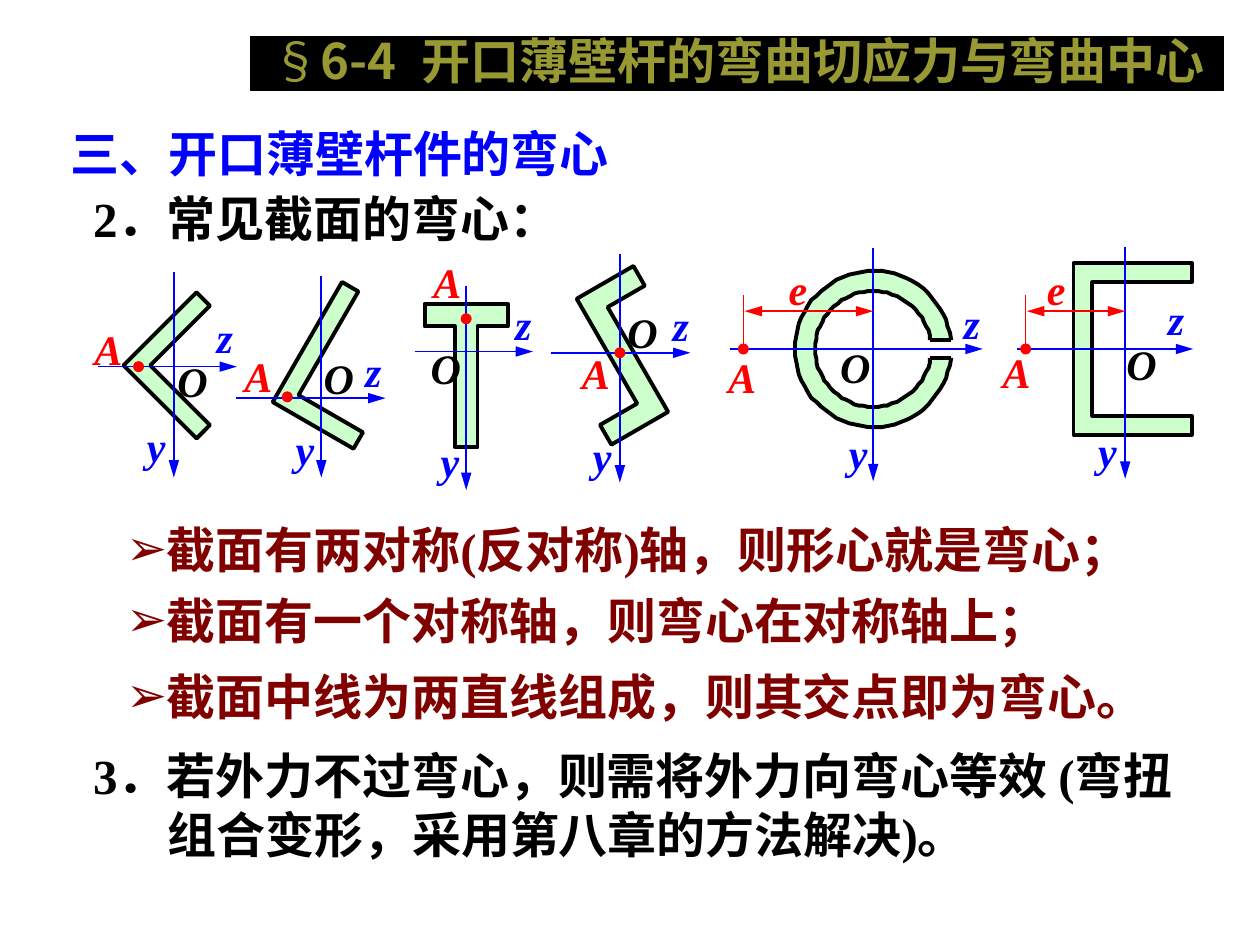
import math
from dataclasses import dataclass

from lxml import etree
from pptx import Presentation
from pptx.dml.color import RGBColor
from pptx.enum.shapes import MSO_CONNECTOR, MSO_SHAPE
from pptx.enum.text import MSO_ANCHOR, MSO_AUTO_SIZE, PP_ALIGN
from pptx.oxml.ns import qn
from pptx.util import Pt

STRAIGHT = MSO_CONNECTOR.STRAIGHT
RECTANGLE, OVAL = MSO_SHAPE.RECTANGLE, MSO_SHAPE.OVAL
LEFT, CENTER = PP_ALIGN.LEFT, PP_ALIGN.CENTER
TOP, MIDDLE = MSO_ANCHOR.TOP, MSO_ANCHOR.MIDDLE
NO_AUTOFIT = MSO_AUTO_SIZE.NONE
SCALE = 9144  # EMU in one px, 100 px to the inch


@dataclass(frozen=True)
class Theme:
    black = RGBColor(0x00, 0x00, 0x00)
    blue = RGBColor(0x00, 0x00, 0xFF)
    red = RGBColor(0xFF, 0x00, 0x00)
    maroon = RGBColor(0x80, 0x00, 0x00)
    olive = RGBColor(0x99, 0x99, 0x33)
    green = RGBColor(0xCC, 0xFF, 0xCC)
    serif = "Times New Roman"
    sans = "Noto Sans CJK SC"
    text_size = 28
    label_size = 24
    outline_width = 2.25


THEME = Theme()


@dataclass
class Section:
    """A cross-section; every position is relative to its centroid."""
    centroid: tuple
    z_range: tuple
    y_range: tuple
    bending_centre: tuple
    labels: dict
    corner: tuple = (0, 0)
    outline: tuple = ()  # without an outline the section is a slit ring
    rotation: int = 0
    axis_width: float = 1


def px(*lengths):
    return [round(length * SCALE) for length in lengths]


def style_font(font, size, color, name=THEME.serif, bold=True, italic=False):
    font.size, font.name, font.bold, font.italic = Pt(size), name, bold, italic
    font.color.rgb = color


def set_frame(shape, box, insets=(0, 0), anchor=TOP):
    shape.left, shape.top, shape.width, shape.height = px(*box)
    frame = shape.text_frame
    frame.word_wrap, frame.auto_size, frame.vertical_anchor = True, NO_AUTOFIT, anchor
    frame.margin_left = frame.margin_right = px(insets[0])[0]
    frame.margin_top = frame.margin_bottom = px(insets[1])[0]
    return frame


def add_text(shapes, box, text, color, size=THEME.text_size, align=LEFT,
             insets=(0, 0), italic=False):
    frame = set_frame(shapes.add_textbox(*px(*box)), box, insets)
    frame.text = text
    paragraph = frame.paragraphs[0]
    paragraph.alignment = align
    style_font(paragraph.runs[0].font, size, color, italic=italic)
    return paragraph


def add_line(shapes, start, end, color, width=1.0, arrows=()):
    line = shapes.add_connector(STRAIGHT, *px(*start, *end))
    line.line.color.rgb, line.line.width = color, Pt(width)
    properties = line._element.spPr
    for arrow in arrows:
        etree.SubElement(properties.find(qn("a:ln")), qn("a:" + arrow),
                         type="triangle", w="med", len="lg")
    etree.SubElement(properties, qn("a:effectLst"))


def add_outline(shapes, points, fill=None, line=True, close=True):
    builder = shapes.build_freeform(*points[0], scale=float(SCALE))
    builder.add_line_segments(points[1:], close=close)
    shape = builder.convert_to_shape()
    shape.shadow.inherit = False
    if fill is None:
        shape.fill.background()
    else:
        shape.fill.solid()
        shape.fill.fore_color.rgb = fill
    if line:
        shape.line.color.rgb, shape.line.width = THEME.black, Pt(THEME.outline_width)
    else:
        shape.line.fill.background()
    return shape


def add_solid(shapes, kind, box, color, line_width):
    shape = shapes.add_shape(kind, *px(*box))
    shape.shadow.inherit = False
    shape.fill.solid()
    shape.fill.fore_color.rgb = shape.line.color.rgb = color
    shape.line.width = Pt(line_width)
    return shape


# Outlines of the profiles, from the top left corner of their box
def angle_profile(width, height, wall):
    return ((0, 0), (0, height), (width, height), (width, height - wall),
            (wall, height - wall), (wall, 0))


def tee_profile(width, height, wall):
    left, right = (width - wall) / 2, (width + wall) / 2
    return ((width, 0), (0, 0), (0, wall), (left, wall), (left, height),
            (right, height), (right, wall), (width, wall))


def zed_profile(width, height, wall):
    left, right = (width - wall) / 2, (width + wall) / 2
    return ((width, 0), (left, 0), (left, height - wall), (0, height - wall),
            (0, height), (right, height), (right, wall), (width, wall))


def channel_profile(width, height, wall):
    return ((width, 0), (0, 0), (0, height), (width, height), (width, height - wall),
            (wall, height - wall), (wall, wall), (width, wall))


def add_slit_ring(shapes, x, y, outer=62, inner=46, half_slit=7.5, steps=72):
    arcs = []
    for radius in (outer, inner):
        slit = math.asin(half_slit / radius)
        angles = [slit + (2 * math.pi - 2 * slit) * i / steps for i in range(steps + 1)]
        arcs.append([(x + radius * math.cos(a), y + radius * math.sin(a)) for a in angles])
    add_outline(shapes, arcs[0] + arcs[1][::-1], THEME.green, line=False)
    for arc in arcs:
        add_outline(shapes, arc, close=False)
    for end in (0, -1):
        add_line(shapes, arcs[1][end], arcs[0][end], THEME.black, THEME.outline_width)


def draw_section(slide, section):
    shapes = slide.shapes.add_group_shape().shapes
    x, y = section.centroid
    # Profile
    if section.outline:
        left, top = x + section.corner[0], y + section.corner[1]
        points = [(left + dx, top + dy) for dx, dy in section.outline]
        add_outline(shapes, points, THEME.green).rotation = section.rotation
    else:
        add_slit_ring(shapes, x, y)
    # Axes
    (z_start, z_end), (y_start, y_end) = section.z_range, section.y_range
    for start, end in (((x + z_start, y), (x + z_end, y)),
                       ((x, y + y_start), (x, y + y_end))):
        add_line(shapes, start, end, THEME.blue, section.axis_width, ["tailEnd"])
    # Bending centre and its distance e
    dot_x, dot_y = x + section.bending_centre[0], y + section.bending_centre[1]
    add_solid(shapes, OVAL, (dot_x - 4, dot_y - 4, 8, 8), THEME.red, 0.5)
    if "e" in section.labels:
        add_line(shapes, (dot_x, dot_y), (dot_x, y - 43), THEME.red)
        add_line(shapes, (dot_x + 1, y - 30), (x, y - 30), THEME.red,
                 arrows=["headEnd", "tailEnd"])
    # Labels
    colors = {"A": THEME.red, "e": THEME.red, "O": THEME.black}
    for text, (dx, dy) in section.labels.items():
        add_text(shapes, (x + dx, y + dy, 68, 61), text, colors.get(text, THEME.blue),
                 THEME.label_size, CENTER if text == "y" else LEFT, (10, 5), True)


SECTIONS = [
    Section((138, 291), (-60, 50), (-75, 88), (-28, 0),
            {"z": (24, -49), "A": (-73, -39), "y": (-48, 38), "O": (-7, -14)},
            (-23, -42), angle_profile(82, 82, 15), 45, 0.75),
    Section((255, 316), (-68, 51), (-97, 63), (-27, -1),
            {"z": (25, -47), "A": (-71, -43), "y": (-47, 15), "O": (-8, -41)},
            (-16, -81), angle_profile(74, 110, 15), 30),
    Section((370, 279), (-41, 53), (-52, 110), (0, -26),
            {"z": (29, -47), "A": (-36, -80), "y": (-47, 62), "O": (-38, -12)},
            (-33, -38), tee_profile(66, 114, 18)),
    Section((492, 280), (-55, 56), (-78, 103), (0, 0),
            {"z": (32, -47), "A": (-40, -9), "y": (-48, 57), "O": (-4, -42)},
            (-41, -55), zed_profile(86, 114, 18), 330),
    Section((693, 277), (-114, 87), (-80, 105), (-103, 0),
            {"z": (62, -46), "A": (-125, -3), "y": (-46, 57), "O": (-36, -11), "e": (-77, -73)}),
    Section((893, 277), (-86, 54), (-81, 103), (-79, 0),
            {"z": (24, -49), "A": (-107, -7), "y": (-48, 56), "O": (-9, -13), "e": (-72, -73)},
            (-41, -68), channel_profile(94, 136, 15)),
]


def fill_title(slide, box):
    left, top, width, height = box
    bar = add_solid(slide.shapes, RECTANGLE, (left + 14, top + 16, 772, 43), THEME.black, 0.75)
    title = slide.shapes.title
    title._element.addprevious(bar._element)  # the bar lies behind the title
    paragraph = set_frame(title, box, (10, 5), MIDDLE).paragraphs[0]
    paragraph.alignment = CENTER
    for text in ("§", "6-4", " ", "开口薄壁杆的弯曲切应力与弯曲中心"):
        run = paragraph.add_run()
        run.text = text
        style_font(run.font, THEME.text_size, THEME.olive, THEME.sans, bold=text != "§")
        if text == " ":
            run.font._element.set("spc", "800")  # widens the gap after the number


def fill_rules(slide, box):
    frame = set_frame(slide.placeholders[1], box)
    frame.text = "\n".join(("截面有两对称(反对称)轴，则形心就是弯心；",
                            "截面有一个对称轴，则弯心在对称轴上；",
                            "截面中线为两直线组成，则其交点即为弯心。"))
    for paragraph, gap in zip(frame.paragraphs, (0, 7, 10)):
        properties = paragraph._p.get_or_add_pPr()
        properties.set("marL", "0")
        properties.set("indent", "0")
        etree.SubElement(properties, qn("a:buChar"), char="➢")
        paragraph.alignment, paragraph.space_before = LEFT, Pt(gap)
        style_font(paragraph.runs[0].font, THEME.text_size, THEME.maroon)


def main():
    presentation = Presentation()
    presentation.slide_width, presentation.slide_height = px(1000, 750)
    slide = presentation.slides.add_slide(presentation.slide_layouts[1])
    fill_title(slide, (185, 13, 802, 69))
    add_text(slide.shapes, (56, 98, 582, 47), "三、开口薄壁杆件的弯心", THEME.blue)
    add_text(slide.shapes, (74, 150, 570, 47), "2．常见截面的弯心：", THEME.black)
    for section in SECTIONS:
        draw_section(slide, section)
    fill_rules(slide, (100, 412, 868, 163))
    note = add_text(slide.shapes, (74, 592, 864, 93),
                    "3．若外力不过弯心，则需将外力向弯心等效 (弯扭组合变形，采用第八章的方法解决)。",
                    THEME.black)
    hanging = px(59)[0]
    note._p.get_or_add_pPr().set("marL", str(hanging))
    note._p.get_or_add_pPr().set("indent", str(-hanging))
    presentation.save("out.pptx")


if __name__ == "__main__":
    main()
